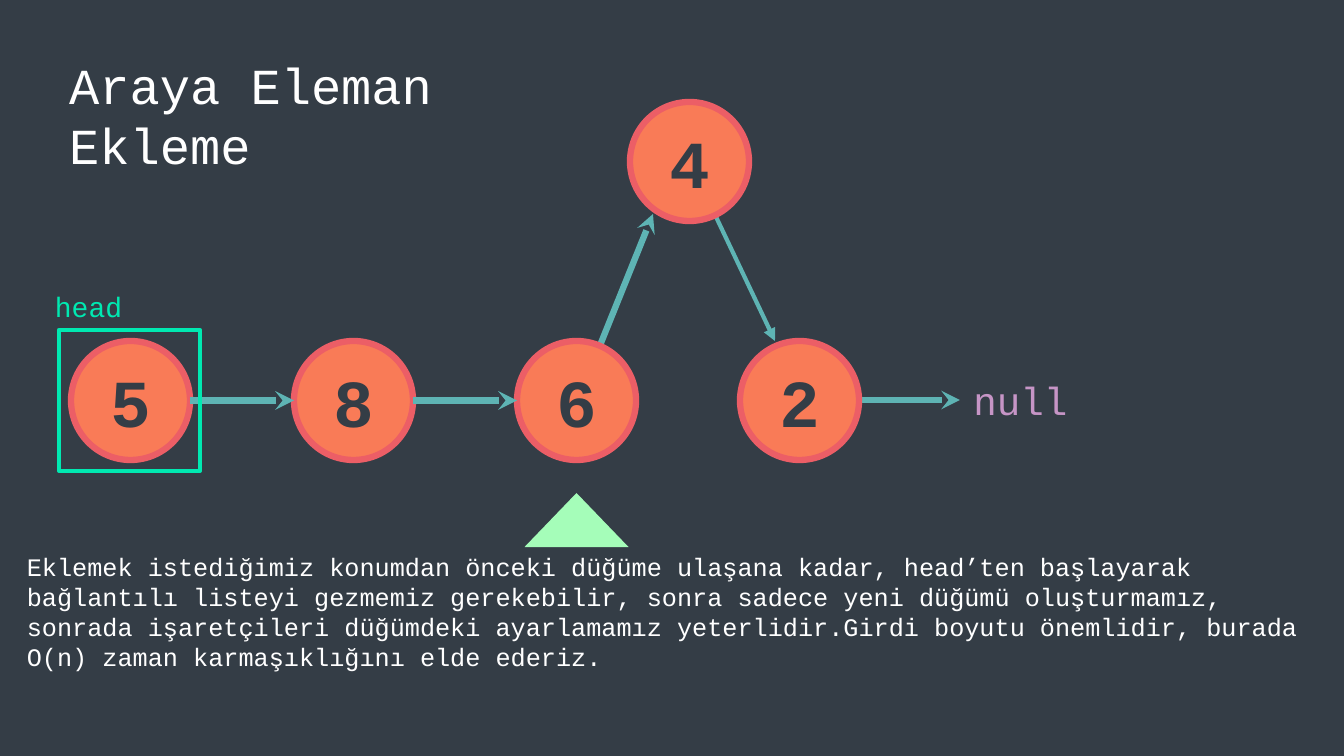
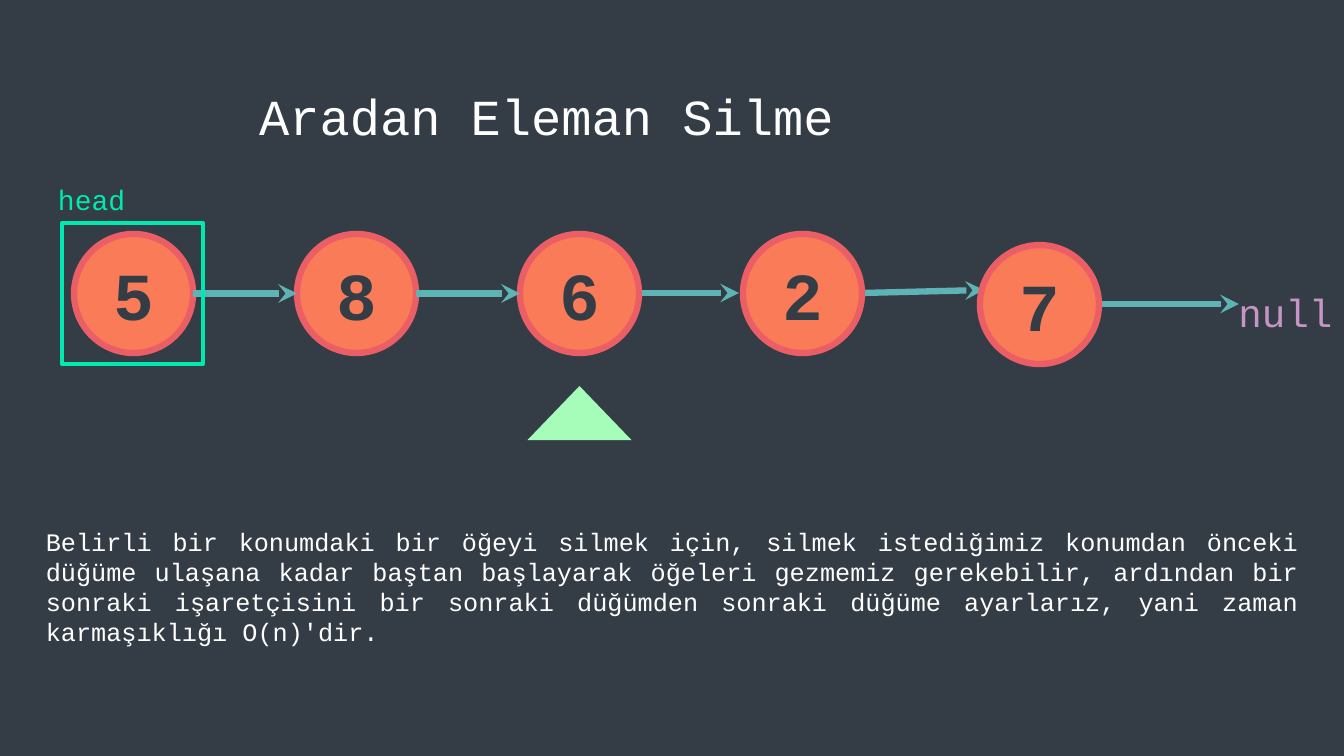
import pptx
import pptx.dml.color
import pptx.enum.shapes
import pptx.enum.text
import pptx.oxml.ns
import pptx.util
from lxml import etree

RGB = pptx.dml.color.RGBColor
SHAPE = pptx.enum.shapes.MSO_SHAPE
ALIGN = pptx.enum.text.PP_ALIGN
ANCHOR = pptx.enum.text.MSO_ANCHOR
Pt = pptx.util.Pt

SLATE = RGB(0x34, 0x3D, 0x46)
ORANGE = RGB(0xF9, 0x7B, 0x57)
RED = RGB(0xEC, 0x5E, 0x66)
TEAL = RGB(0x5E, 0xB4, 0xB4)
GREEN = RGB(0x00, 0xE9, 0xB1)
MINT = RGB(0xA5, 0xFD, 0xB9)
MAUVE = RGB(0xC6, 0x95, 0xC6)
WHITE = RGB(0xFF, 0xFF, 0xFF)
FONT = "Courier New"

NODE = 119          # node diameter
PITCH = 223         # from one node in the row to the next
CHAIN = ["5", "8", "6", "2"]
CURRENT = 2         # index of the node that the marker points at

# Boxes are left, top, width, height; links are start, end, width in pt, head.
SLIDES = [
    {
        "title": "Araya Eleman Ekleme",
        "title_box": (59, 49, 575, 72),
        "title_align": ALIGN.LEFT,
        "row": (71, 341),
        "extra_node": ("4", 630, 102),
        "links": [
            ((578, 400), (653, 214), 4.5, "stealth"),
            ((805, 400), (960, 400), 4.5, "stealth"),
            ((690, 162), (775, 341), 3, "triangle"),
        ],
        "null": (962, 371),
        "body": "Eklemek istediğimiz konumdan önceki düğüme ulaşana kadar, "
                "head’ten başlayarak bağlantılı listeyi gezmemiz gerekebilir, "
                "sonra sadece yeni düğümü oluşturmamız, sonrada işaretçileri "
                "düğümdeki ayarlamamız yeterlidir.Girdi boyutu önemlidir, "
                "burada O(n) zaman karmaşıklığını elde ederiz.",
        "body_box": (17, 546, 1327, 132),
        "body_align": ALIGN.LEFT,
    },
    {
        "title": "Aradan Eleman Silme",
        "title_box": (249, 80, 1000, 72),
        "title_align": ALIGN.JUSTIFY,
        "row": (74, 234),
        "extra_node": ("7", 980, 245),
        "links": [
            ((639, 293), (739, 293), 4.5, "stealth"),
            ((862, 293), (984, 290), 4.5, "stealth"),
            ((1099, 304), (1239, 304), 4.5, "stealth"),
        ],
        "null": (1227, 283),
        "body": "Belirli bir konumdaki bir öğeyi silmek için, silmek "
                "istediğimiz konumdan önceki düğüme ulaşana kadar baştan "
                "başlayarak öğeleri gezmemiz gerekebilir, ardından bir sonraki "
                "işaretçisini bir sonraki düğümden sonraki düğüme ayarlarız, "
                "yani zaman karmaşıklığı O(n)'dir.",
        "body_box": (36, 521, 1272, 132),
        "body_align": ALIGN.JUSTIFY,
    },
]


def px(*lengths):
    return [pptx.util.Emu(round(n * 914400 / 100.8)) for n in lengths]


def write(shape, text, size, color, align, anchor=ANCHOR.TOP, bold=False):
    frame = shape.text_frame
    frame.word_wrap = True
    frame.auto_size = pptx.enum.text.MSO_AUTO_SIZE.NONE
    frame.vertical_anchor = anchor
    paragraph = frame.paragraphs[0]
    paragraph.text = text
    paragraph.alignment = align
    font = paragraph.font
    font.name, font.size, font.bold = FONT, Pt(size), bold
    font.color.rgb = color
    return frame


def add_title(slide, text, box, align):
    title = slide.shapes.title
    title.left, title.top, title.width, title.height = px(*box)
    write(title, text, 36, WHITE, align)


def add_text(slide, text, box, size, color, align=ALIGN.LEFT):
    write(slide.shapes.add_textbox(*px(*box)), text, size, color, align)


def add_figure(slide, kind, box, fill=None, line=None, width=0):
    figure = slide.shapes.add_shape(kind, *px(*box))
    figure.shadow.inherit = False
    for part, color in ((figure.fill, fill), (figure.line.fill, line)):
        if color is None:
            part.background()
        else:
            part.solid()
            part.fore_color.rgb = color
    if line is not None:
        figure.line.width = Pt(width)
    return figure


def add_node(slide, value, left, top):
    node = add_figure(slide, SHAPE.OVAL, (left, top, NODE, NODE), ORANGE, RED, 4.5)
    frame = write(node, value, 48, SLATE, ALIGN.CENTER, ANCHOR.MIDDLE, True)
    frame.margin_left = frame.margin_right = 0


def add_link(slide, start, end, width=4.5, head="stealth"):
    link = slide.shapes.add_connector(
        pptx.enum.shapes.MSO_CONNECTOR.STRAIGHT, *px(*start, *end))
    link.line.color.rgb = TEAL
    link.line.width = Pt(width)
    qn = pptx.oxml.ns.qn
    etree.SubElement(link.line._get_or_add_ln(), qn("a:tailEnd"), type=head)
    etree.SubElement(link._element.spPr, qn("a:effectLst"))


def build(slide, content):
    add_title(slide, content["title"], content["title_box"], content["title_align"])
    left, top = content["row"]
    lefts = [left + i * PITCH for i in range(len(CHAIN))]
    middle = top + NODE / 2

    for link in content["links"]:
        add_link(slide, *link)
    for value, node_left in zip(CHAIN, lefts):
        add_node(slide, value, node_left, top)
    add_node(slide, *content["extra_node"])
    for i in range(CURRENT):
        add_link(slide, (lefts[i] + NODE, middle), (lefts[i + 1], middle))

    add_figure(slide, SHAPE.RECTANGLE, (left - 12, top - 11, 141, 141), line=GREEN, width=3)
    add_text(slide, "head", (left - 26, top - 56, 99, 44), 20, GREEN)
    marker_left = lefts[CURRENT] + (NODE - 104) / 2
    add_figure(slide, SHAPE.ISOSCELES_TRIANGLE, (marker_left, top + 152, 104, 54), fill=MINT)
    add_text(slide, "null", (*content["null"], 117, 57), 28, MAUVE, ALIGN.CENTER)
    add_text(slide, content["body"], content["body_box"], 18, WHITE, content["body_align"])


def main():
    deck = pptx.Presentation()
    deck.slide_width, deck.slide_height = px(1344, 756)
    backdrop = deck.slide_master.background.fill
    backdrop.solid()
    backdrop.fore_color.rgb = SLATE
    for content in SLIDES:
        build(deck.slides.add_slide(deck.slide_layouts[5]), content)
    deck.save("out.pptx")


if __name__ == "__main__":
    main()
